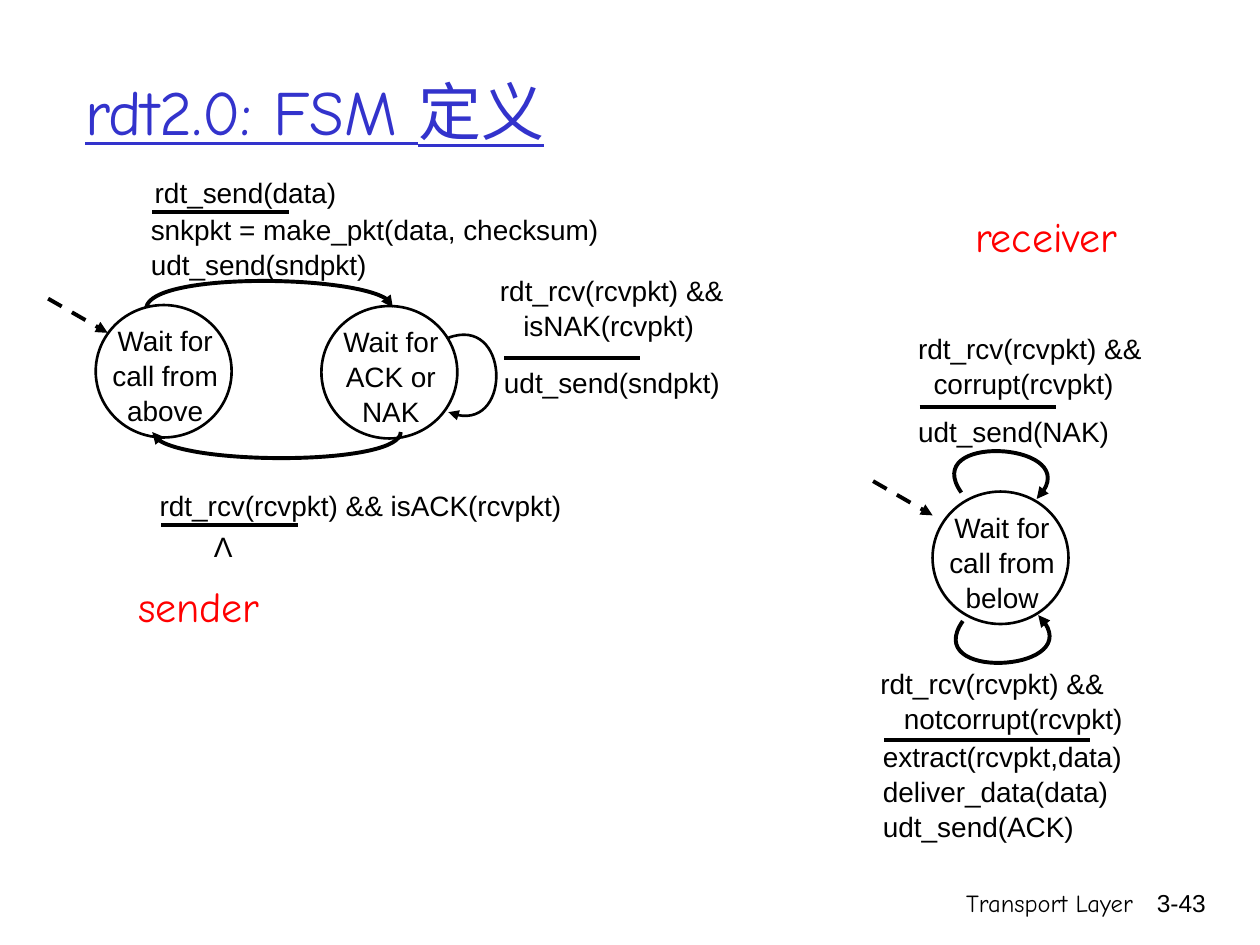
"""Build the rdt2.0 finite state machine slide."""
import pptx
import pptx.dml.color
import pptx.enum.dml
import pptx.enum.shapes
import pptx.enum.text
import pptx.oxml
import pptx.oxml.ns
import pptx.util

Cm, Pt = pptx.util.Cm, pptx.util.Pt
ALIGN = pptx.enum.text.PP_ALIGN
COLOURS = {"ink": "000000", "title": "3333CC", "role": "FF0000", "paper": "FFFFFF"}

FORMATS = {
    "title": {"name": "Comic Neue", "size": Pt(36), "underline": True},
    "role": {"name": "Comic Neue", "size": Pt(24)},
    "footer": {"name": "Comic Neue", "size": Pt(14)},
    "page": {"name": "Arial", "size": Pt(14)},
    "code": {"name": "Arial", "size": Pt(16)},
}

HEADINGS = [
    ("rdt2.0: FSM 定义", (1.47, 0.64, 21.59, 3.18), "title", ALIGN.LEFT),
    ("sender", (2.41, 11.58, 3.2, 1.27), "role", ALIGN.CENTER),
    ("receiver", (19.2, 4.11, 3.78, 1.27), "role", ALIGN.CENTER),
    ("Transport Layer", (15.04, 17.78, 8.05, 1.27), "footer", ALIGN.RIGHT),
    ("3-43", (22.68, 17.78, 1.88, 1.27), "page", ALIGN.RIGHT),
]

STATES = [
    ("Wait for call from above", 1.93, 6.15),
    ("Wait for ACK or NAK", 6.48, 6.17),
    ("Wait for call from below", 18.8, 9.91),
]
STATE_SIZE = (2.74, 2.67)
LABEL_WIDTH, LABEL_DROP = 3.25, 0.23

EVENTS_AND_ACTIONS = [
    (["rdt_send(data)"], (2.87, 3.38, 6.27, 1.19), 0),
    (["snkpkt = make_pkt(data, checksum)", "udt_send(sndpkt)"], (2.79, 4.14, 10.13, 1.12), 0),
    (["rdt_rcv(rcvpkt) &&", "isNAK(rcvpkt)"], (9.83, 5.36, 5.79, 1.75), 0.47),
    (["udt_send(sndpkt)"], (9.91, 7.21, 4.9, 1.12), 0),
    (["rdt_rcv(rcvpkt) && isACK(rcvpkt)"], (2.97, 9.7, 9.86, 0.79), 0),
    (["Λ"], (4.06, 10.52, 0.89, 0.94), 0),
    (["rdt_rcv(rcvpkt) &&", "corrupt(rcvpkt)"], (18.26, 6.53, 5.33, 0.86), 0.31),
    (["udt_send(NAK)"], (18.26, 8.2, 5.08, 0.71), 0),
    (["rdt_rcv(rcvpkt) &&", "notcorrupt(rcvpkt)"], (17.5, 13.28, 5.99, 1.96), 0.47),
    (["extract(rcvpkt,data)", "deliver_data(data)", "udt_send(ACK)"],
     (17.55, 14.76, 5.94, 1.73), 0),
]

DIVIDERS = [(3.07, 4.27, 2.75), (10.16, 7.21, 2.75), (3.25, 10.59, 2.75),
            (18.54, 8.2, 2.75), (17.83, 14.91, 4.14)]
INITIAL_ARROWS = [(0.97, 6.02), (17.6, 9.7)]
INITIAL_RUN = (1.2, 0.69)

TRANSITIONS = [
    ([(2.95, 6.2), (3.05, 5.49), (7.92, 5.54), (7.92, 6.2)], 2.25, "tailEnd"),
    ([(3.07, 8.71), (3.18, 9.4), (8.08, 9.37), (8.08, 8.71)], 2.25, "headEnd"),
    ([(9.04, 6.81), (10.26, 6.35), (10.34, 8.84), (9.04, 8.31)], 1.5, "tailEnd"),
    ([(19.38, 9.93), (18.54, 8.74), (22.02, 8.92), (20.9, 10.06)], 2.25, "tailEnd"),
    ([(19.41, 12.52), (18.57, 13.72), (22.07, 13.54), (20.93, 12.4)], 2.25, "tailEnd"),
]


def colour(name):
    return pptx.dml.color.RGBColor.from_string(COLOURS[name])


def element(tag):
    return pptx.oxml.parse_xml(f"<a:{tag} {pptx.oxml.ns.nsdecls('a')}/>")


def add_text(slide, lines, place, style, align, indent=0, wrap=True):
    frame = slide.shapes.add_textbox(*map(Cm, place)).text_frame
    frame.word_wrap = wrap
    if style == "title":
        frame.vertical_anchor = pptx.enum.text.MSO_ANCHOR.MIDDLE
    for index, line in enumerate(lines):
        paragraph = frame.add_paragraph() if index else frame.paragraphs[0]
        paragraph.alignment = align
        if style == "code":
            paragraph.line_spacing = 1.04
        if index and indent:
            paragraph._p.get_or_add_pPr().set("marL", str(Cm(indent)))
        run = paragraph.add_run()
        run.text = line
        for key, value in FORMATS[style].items():
            setattr(run.font, key, value)
        run.font.color.rgb = colour(style if style in COLOURS else "ink")


def draw_line(shape, width, arrow=None):
    shape.line.color.rgb = colour("ink")
    shape.line.width = Pt(width)
    if arrow:
        head = element(arrow)
        head.set("type", "triangle")
        shape.line._get_or_add_ln().append(head)


def add_straight(slide, left, top, run, rise=0, arrow=None):
    line = slide.shapes.add_connector(
        pptx.enum.shapes.MSO_CONNECTOR.STRAIGHT,
        Cm(left), Cm(top), Cm(left + run), Cm(top + rise))
    if arrow:
        line.line.dash_style = pptx.enum.dml.MSO_LINE.DASH
    draw_line(line, 2.25, arrow)
    line._element.spPr.append(element("effectLst"))


def add_state(slide, label, left, top):
    width, height = STATE_SIZE
    circle = slide.shapes.add_shape(
        pptx.enum.shapes.MSO_SHAPE.OVAL, Cm(left), Cm(top), Cm(width), Cm(height))
    circle.shadow.inherit = False
    circle.fill.solid()
    circle.fill.fore_color.rgb = colour("paper")
    draw_line(circle, 1.5)
    label_left = left + (width - LABEL_WIDTH) / 2 + 0.03
    add_text(slide, [label], (label_left, top + LABEL_DROP, LABEL_WIDTH, 1.7),
             "code", ALIGN.CENTER)


def add_curve(slide, points, width, arrow):
    start, *rest = [(Cm(x), Cm(y)) for x, y in points]
    builder = slide.shapes.build_freeform(*start)
    builder.add_line_segments(rest, close=False)
    curve = builder.convert_to_shape()
    outline = curve._element.find(".//" + pptx.oxml.ns.qn("a:path"))
    bezier = element("cubicBezTo")
    for segment in outline.findall(pptx.oxml.ns.qn("a:lnTo")):
        bezier.append(segment[0])
        outline.remove(segment)
    outline.append(bezier)
    curve.shadow.inherit = False
    curve.fill.background()
    draw_line(curve, width, arrow)


def main():
    deck = pptx.Presentation()
    deck.slide_width, deck.slide_height = Cm(25.4), Cm(19.05)
    slide = deck.slides.add_slide(deck.slide_layouts[6])
    for text, place, style, align in HEADINGS:
        add_text(slide, [text], place, style, align, wrap=style != "role")
    for state in STATES:
        add_state(slide, *state)
    for transition in TRANSITIONS:
        add_curve(slide, *transition)
    for lines, place, indent in EVENTS_AND_ACTIONS:
        add_text(slide, lines, place, "code", ALIGN.LEFT, indent)
    for divider in DIVIDERS:
        add_straight(slide, *divider)
    for start in INITIAL_ARROWS:
        add_straight(slide, *start, *INITIAL_RUN, arrow="tailEnd")
    deck.save("out.pptx")


if __name__ == "__main__":
    main()
